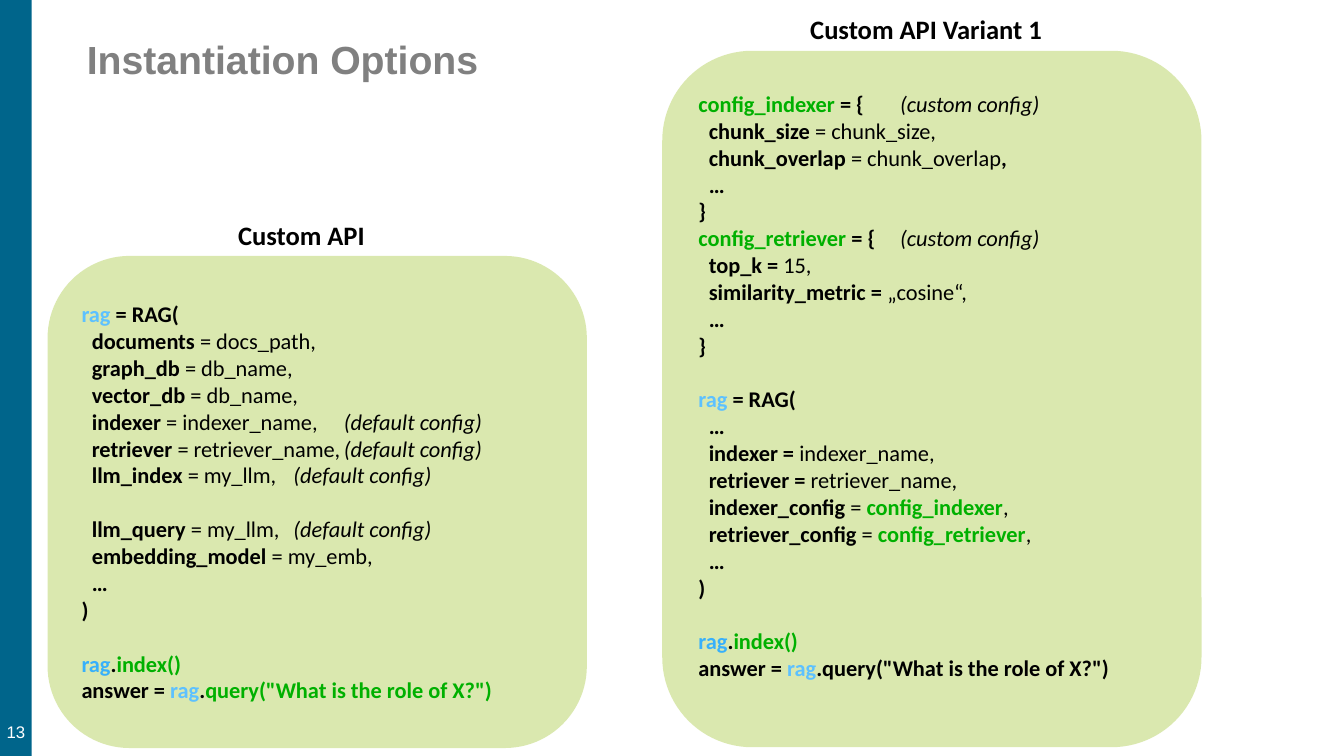
from lxml.etree import SubElement
from pptx import Presentation
from pptx.dml.color import RGBColor
from pptx.enum.shapes import MSO_SHAPE as Preset
from pptx.enum.text import MSO_ANCHOR as Anchor, PP_ALIGN as Align
from pptx.oxml.ns import qn
from pptx.util import Cm, Pt

WHITE = RGBColor(0xFF, 0xFF, 0xFF)
BLACK = RGBColor(0x00, 0x00, 0x00)
GRAY = RGBColor(0x80, 0x80, 0x80)
TEAL = RGBColor(0x00, 0x65, 0x8B)
LIME = RGBColor(0xB7, 0xD2, 0x60)
GREEN = RGBColor(0x00, 0xB0, 0x00)
SKY = RGBColor(0x5D, 0xC1, 0xFF)
AZURE = RGBColor(0x37, 0xB0, 0xFB)

KEY = dict(bold=True)
VALUE = dict()
NOTE = dict(italic=True)
CONFIG = dict(bold=True, color=GREEN)
OBJECT = dict(bold=True, color=SKY)
CALLER = dict(bold=True, color=AZURE)

CODE_INDENT = 0.26
BLANK_LINE = Pt(19.2)
HEADING_HEIGHT = 1.07


def line(*runs, level=0, gap=False):
    """Describe one code line: its runs, indent level and whether a gap precedes it."""
    return runs, level, gap


def setting(name, value, note=None, gap=False):
    """Describe an indented parameter with its value and an optional remark."""
    runs = [(name + " ", KEY), ("= " + value + ",", VALUE)]
    if note:
        runs.append(("\t" + note, NOTE))
    return line(*runs, level=1, gap=gap)


def config_start(name):
    """Describe the opening line of a custom configuration."""
    return line((name, CONFIG), (" = {", KEY), ("\t(custom config)", NOTE))


def passed_config(name, config):
    """Describe a parameter that receives a configuration."""
    return line((name + " ", KEY), ("= ", VALUE), (config, CONFIG), (",", VALUE), level=1)


def bold_setting(name, value):
    """Describe a parameter whose equals sign is bold."""
    return line((name + " = ", KEY), (value + ",", VALUE), level=1)


def usage(query_style):
    """Describe the closing lines that build the index and ask a question."""
    return [
        line(("rag", CALLER), (".", KEY), ("index()", CONFIG), gap=True),
        line(("answer = ", KEY), ("rag", OBJECT), (".", KEY),
             ('query("What is the role of X?")', query_style)),
    ]


ELLIPSIS = line(("…", KEY), level=1)
CLOSE_BRACE = line(("}", KEY))
CLOSE_CALL = line((")", KEY))
RAG_START = (("rag", OBJECT), (" = RAG(", KEY))
DEFAULT = "(default config)"

CUSTOM_API = [
    line(*RAG_START),
    setting("documents", "docs_path"),
    setting("graph_db", "db_name"),
    setting("vector_db", "db_name"),
    setting("indexer", "indexer_name", DEFAULT),
    setting("retriever", "retriever_name", DEFAULT),
    setting("llm_index", "my_llm", DEFAULT),
    setting("llm_query", "my_llm", DEFAULT, gap=True),
    setting("embedding_model", "my_emb"),
    ELLIPSIS,
    CLOSE_CALL,
    *usage(CONFIG),
]

CUSTOM_API_VARIANT = [
    config_start("config_indexer"),
    setting("chunk_size", "chunk_size"),
    line(("chunk_overlap ", KEY), ("= chunk_overlap", VALUE), (",", KEY), level=1),
    ELLIPSIS,
    CLOSE_BRACE,
    config_start("config_retriever"),
    bold_setting("top_k", "15"),
    bold_setting("similarity_metric", "„cosine“"),
    ELLIPSIS,
    CLOSE_BRACE,
    line(*RAG_START, gap=True),
    ELLIPSIS,
    bold_setting("indexer", "indexer_name"),
    bold_setting("retriever", "retriever_name"),
    passed_config("indexer_config", "config_indexer"),
    passed_config("retriever_config", "config_retriever"),
    ELLIPSIS,
    CLOSE_CALL,
    *usage(KEY),
]


def add_run(paragraph, text, font="Calibri", size=16, color=BLACK, bold=False, italic=False):
    """Append formatted text to a paragraph."""
    run = paragraph.add_run()
    run.text = text
    run.font.name = font
    run.font.size = Pt(size)
    run.font.color.rgb = color
    run.font.bold = bold
    run.font.italic = italic


def add_label(slide, box, text, anchor=Anchor.TOP, align=Align.LEFT, side=0.25, **font):
    """Place a single line of text in a box."""
    frame = slide.shapes.add_textbox(*map(Cm, box)).text_frame
    frame.word_wrap = True
    frame.vertical_anchor = anchor
    frame.margin_left = frame.margin_right = Cm(side)
    paragraph = frame.paragraphs[0]
    paragraph.alignment = align
    add_run(paragraph, text, **font)
    return paragraph


def add_filled(slide, preset, box, color):
    """Place a borderless filled shape."""
    shape = slide.shapes.add_shape(preset, *map(Cm, box))
    shape.shadow.inherit = False
    shape.fill.solid()
    shape.fill.fore_color.rgb = color
    shape.line.fill.background()
    return shape


def add_code_line(paragraph, runs, level, gap, tab):
    """Write one code line with its indent and tab stop."""
    paragraph.alignment = Align.LEFT
    if gap:
        paragraph.space_before = BLANK_LINE
    properties = paragraph._p.get_or_add_pPr()
    properties.set("marL", str(Cm(level * CODE_INDENT)))
    properties.set("indent", "0")
    stops = SubElement(properties, qn("a:tabLst"))
    SubElement(stops, qn("a:tab"), pos=str(Cm(tab)), algn="l")
    for text, style in runs:
        add_run(paragraph, text, **style)


def add_code_panel(slide, box, heading, heading_offset, code, tab, bottom=0.13):
    """Draw a rounded code panel with its heading above."""
    left, top, width, height = box
    add_label(slide, (left + heading_offset, top - HEADING_HEIGHT, 7.2, HEADING_HEIGHT),
              heading, size=19, bold=True)
    panel = add_filled(slide, Preset.ROUNDED_RECTANGLE, box, LIME)
    color = panel._element.spPr.find(qn("a:solidFill"))[0]
    SubElement(color, qn("a:alpha"), val="50000")
    frame = panel.text_frame
    frame.word_wrap = True
    frame.vertical_anchor = Anchor.MIDDLE
    frame.margin_bottom = Cm(bottom)
    for index, (runs, level, gap) in enumerate(code):
        paragraph = frame.add_paragraph() if index else frame.paragraphs[0]
        add_code_line(paragraph, runs, level, gap, tab)


def add_sidebar(slide, box, number):
    """Draw the side strip with the slide number at its foot."""
    left, top, width, height = box
    add_filled(slide, Preset.RECTANGLE, box, TEAL)
    add_label(slide, (left, top + height - 4.22, width, 4), number, anchor=Anchor.BOTTOM,
              align=Align.CENTER, side=0, font="Arial", size=12, color=WHITE)


def main():
    """Build the slide and save it."""
    presentation = Presentation()
    presentation.slide_width = Cm(33.87)
    presentation.slide_height = Cm(19.05)
    slide = presentation.slides.add_slide(presentation.slide_layouts[6])
    add_sidebar(slide, (0, 0, 0.8, 19.05), "13")
    title = add_label(slide, (1.94, 0.91, 27.94, 2.74), "Instantiation Options",
                      font="Arial", size=28, color=GRAY, bold=True)
    title.line_spacing = 0.9
    add_code_panel(slide, (1.2, 6.45, 13.59, 12.4), "Custom API", 4.55, CUSTOM_API, tab=7.74)
    add_code_panel(slide, (16.69, 1.28, 13.59, 17.55), "Custom API Variant 1", 3.48,
                   CUSTOM_API_VARIANT, tab=7.62, bottom=0.8)
    presentation.save("out.pptx")


if __name__ == "__main__":
    main()
